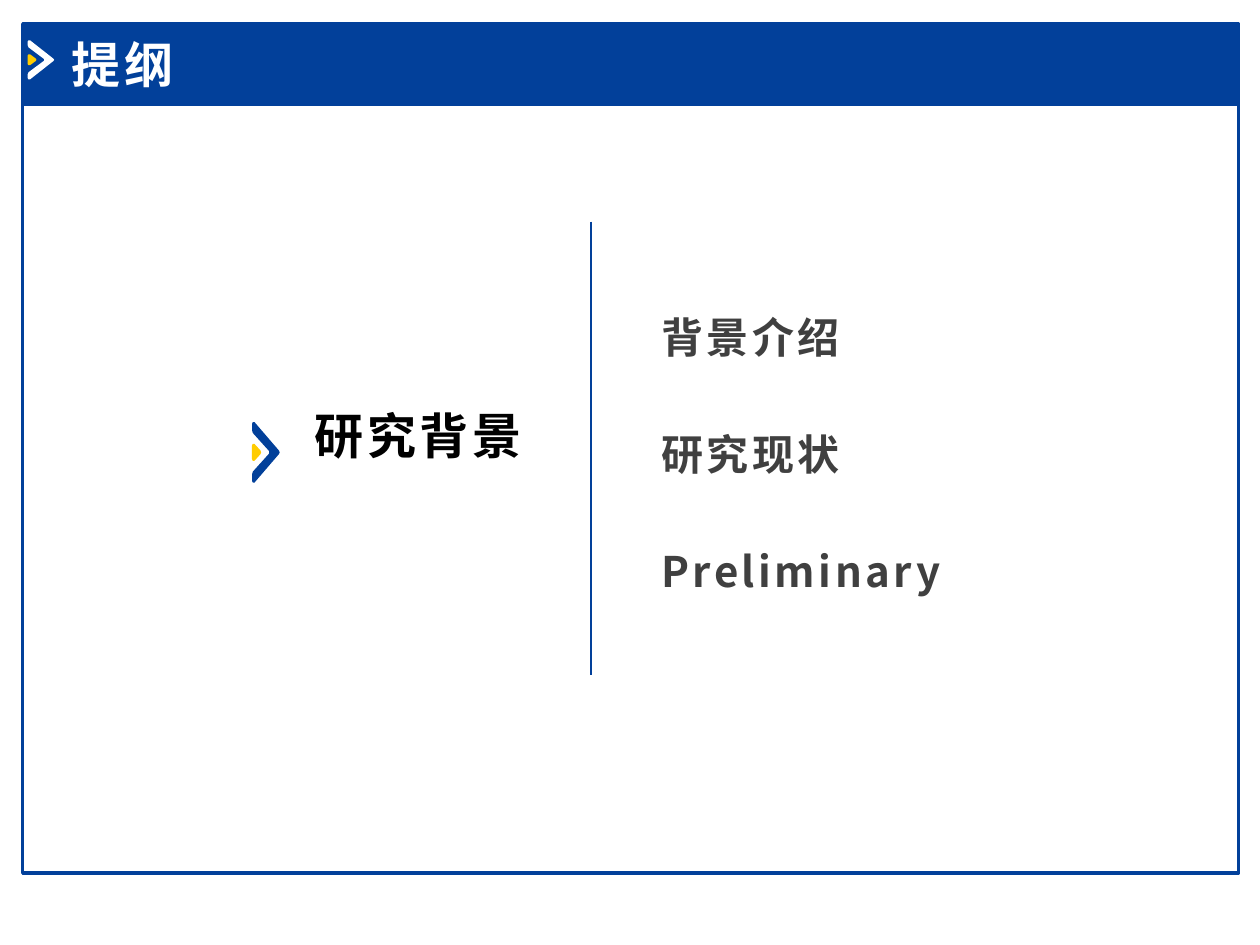
from pptx import Presentation
from pptx.dml.color import RGBColor
from pptx.enum.shapes import MSO_CONNECTOR, MSO_SHAPE
from pptx.enum.text import MSO_ANCHOR, MSO_AUTO_SIZE, PP_ALIGN
from pptx.oxml.ns import qn
from pptx.util import Inches, Pt
from lxml.etree import SubElement

COLORS = {"blue": "02409A", "yellow": "FFCC00", "white": "FFFFFF",
          "black": "000000", "gray": "404040"}
CJK_FONT = "Noto Sans CJK SC"
TOPICS = ["背景介绍", "研究现状", "Preliminary"]
TOPIC_TOP, TOPIC_STEP = 2.42, 0.93
FRAME_LEFT, FRAME_WIDTH = 0.18, 9.65
BAR_TOP, BAR_HEIGHT, BODY_HEIGHT = 0.19, 0.64, 6.1

# Upper half of each outline, as shares of the mark's width and height
CHEVRON_HALF = [(0.62, 0.48), (0.03, 0.18), (0, 0.13), (0, 0.03),
                (0.03, 0), (0.09, 0), (0.97, 0.47), (1, 0.5)]
DART_HALF = [(0, 0.39), (0.03, 0.36), (0.09, 0.36), (0.31, 0.47), (0.33, 0.5)]


def rgb(name):
    return RGBColor.from_string(COLORS[name])


def add_frame_part(slide, top, height, fill=None):
    part = slide.shapes.add_shape(
        MSO_SHAPE.RECTANGLE, Inches(FRAME_LEFT), Inches(top),
        Inches(FRAME_WIDTH), Inches(height))
    part.shadow.inherit = False
    part.line.color.rgb = rgb("blue")
    part.line.width = Pt(2)
    if fill:
        part.fill.solid()
        part.fill.fore_color.rgb = rgb(fill)
    else:
        part.fill.background()


def add_mirrored_outline(slide, half, left, top, width, height, color):
    """Draw a filled outline from its upper half, mirrored downwards."""
    shares = half + [(x, 1 - y) for x, y in reversed(half)]
    points = [(Inches(left + x * width), Inches(top + y * height))
              for x, y in shares]
    builder = slide.shapes.build_freeform(*points[0])
    builder.add_line_segments(points[1:])
    outline = builder.convert_to_shape()
    outline.shadow.inherit = False
    outline.fill.solid()
    outline.fill.fore_color.rgb = rgb(color)
    outline.line.fill.background()


def add_arrow_mark(slide, left, top, width, height, color):
    for half, fill in ((CHEVRON_HALF, color), (DART_HALF, "yellow")):
        add_mirrored_outline(slide, half, left, top, width, height, fill)


def format_text(shape, text, size, color, font=CJK_FONT):
    frame = shape.text_frame
    frame.text = text
    frame.word_wrap = True
    frame.auto_size = MSO_AUTO_SIZE.NONE
    frame.vertical_anchor = MSO_ANCHOR.TOP
    paragraph = frame.paragraphs[0]
    paragraph.alignment = PP_ALIGN.LEFT
    run = paragraph.runs[0]
    run.font.size = Pt(size)
    run.font.bold = True
    run.font.name = font
    run.font.color.rgb = rgb(color)
    properties = run.font.element if hasattr(run.font, "element") else paragraph.runs[0]._r.rPr
    properties.set("spc", "200")
    SubElement(properties, qn("a:ea")).set("typeface", CJK_FONT)


def add_label(slide, text, left, top, width, height, size, color):
    box = slide.shapes.add_textbox(
        Inches(left), Inches(top), Inches(width), Inches(height))
    format_text(box, text, size, color)


def place_title(slide, text):
    title = slide.shapes.title
    title.left, title.top = Inches(0.47), Inches(0.22)
    title.width, title.height = Inches(3.56), Inches(0.57)
    format_text(title, text, 28, "white", "Calibri")
    # The title must lie in front of the bar
    title.element.getparent().append(title.element)


def add_divider(slide, x, top, bottom):
    divider = slide.shapes.add_connector(
        MSO_CONNECTOR.STRAIGHT, Inches(x), Inches(top), Inches(x), Inches(bottom))
    divider.line.color.rgb = rgb("blue")
    divider.line.width = Pt(1.5)
    SubElement(divider.element.spPr, qn("a:effectLst"))


def main():
    presentation = Presentation()
    presentation.slide_width, presentation.slide_height = Inches(10), Inches(7.5)
    slide = presentation.slides.add_slide(presentation.slide_layouts[5])

    add_frame_part(slide, BAR_TOP + BAR_HEIGHT, BODY_HEIGHT)
    add_frame_part(slide, BAR_TOP, BAR_HEIGHT, "blue")
    add_arrow_mark(slide, 0.22, 0.32, 0.21, 0.31, "white")
    place_title(slide, "提纲")

    add_label(slide, "研究背景", 2.4, 3.17, 2.15, 0.84, 28, "black")
    add_arrow_mark(slide, 2, 3.35, 0.22, 0.48, "blue")
    add_divider(slide, 4.69, 1.76, 5.36)
    for row, topic in enumerate(TOPICS):
        add_label(slide, topic, 5.15, TOPIC_TOP + row * TOPIC_STEP,
                  2.73, 0.74, 24, "gray")

    presentation.save("out.pptx")


if __name__ == "__main__":
    main()
